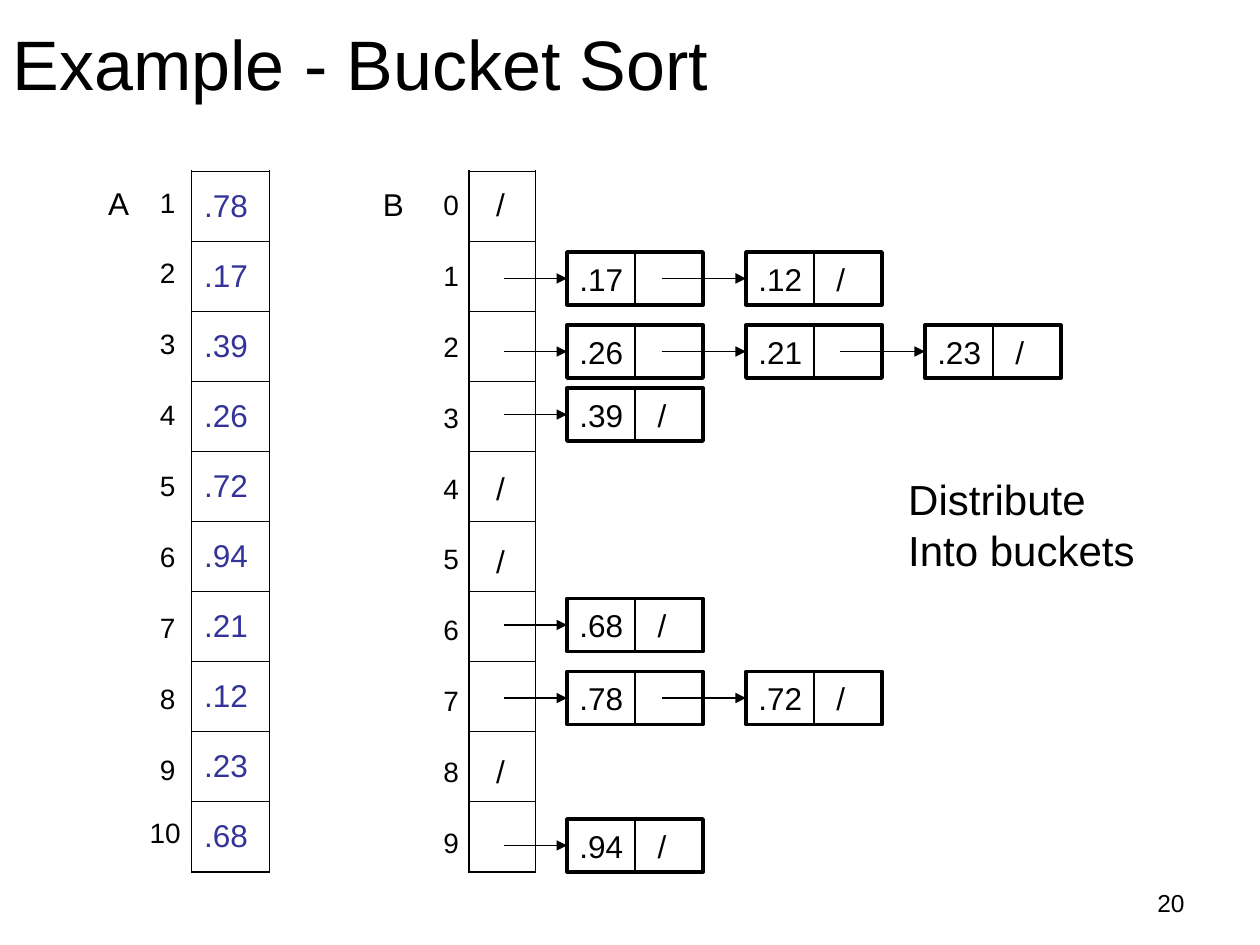
from lxml import etree
from pptx import Presentation
from pptx.dml.color import RGBColor
from pptx.enum.shapes import MSO_CONNECTOR, MSO_SHAPE
from pptx.enum.text import MSO_ANCHOR, PP_ALIGN
from pptx.oxml.ns import qn
from pptx.util import Inches, Pt

STRAIGHT, RECTANGLE = MSO_CONNECTOR.STRAIGHT, MSO_SHAPE.RECTANGLE
MIDDLE, LEFT, RIGHT = MSO_ANCHOR.MIDDLE, PP_ALIGN.LEFT, PP_ALIGN.RIGHT
BLACK, BLUE = "000000", "333399"
color = RGBColor.from_string

# Grid, in inches
ROWS, TABLE_TOP, TABLE_HEIGHT = 10, 1.36, 5.56
ROW_HEIGHT = TABLE_HEIGHT / ROWS
INDEX_PITCH = 4.5 / 8
NODE_LEFT, NODE_PITCH, NODE_WIDTH, NODE_HEIGHT = 4.5, 1.42, 1.08, 0.42
SLASH_TAB = 0.62

prs = Presentation()
prs.slide_width, prs.slide_height = Inches(10), Inches(7.5)
slide = prs.slides.add_slide(prs.slide_layouts[5])
shapes = slide.shapes


def write(frame, text, size, align=LEFT, hue=BLACK):
    frame.text = text
    for paragraph in frame.paragraphs:
        paragraph.alignment = align
        for run in paragraph.runs:
            run.font.name, run.font.size = "Arial", Pt(size)
            run.font.color.rgb = color(hue)


def add_line(x1, y1, x2, y2, arrow=False):
    line = shapes.add_connector(STRAIGHT, *map(Inches, (x1, y1, x2, y2)))
    line.line.color.rgb = color(BLACK)
    line.line.width = Pt(0.75)
    properties = line._element.spPr
    if arrow:
        etree.SubElement(properties.find(qn("a:ln")), qn("a:tailEnd"), type="triangle")
    etree.SubElement(properties, qn("a:effectLst"))


# Title
title = shapes.title
title.left, title.top, title.width, title.height = 0, 0, Inches(9), Inches(0.99)
write(title.text_frame, "Example - Bucket Sort", 40)
title.text_frame.vertical_anchor = MIDDLE

# Input array A and bucket array B
input_values = [".78", ".17", ".39", ".26", ".72", ".94", ".21", ".12", ".23", ".68"]
for left, width, values in ((1.52, 0.62, input_values), (3.72, 0.53, [""] * ROWS)):
    array = shapes.add_table(ROWS, 1, Inches(left), Inches(TABLE_TOP),
                             Inches(width), Inches(TABLE_HEIGHT)).table
    array.first_row = array.horz_banding = False
    for row, value in enumerate(values):
        array.rows[row].height = Inches(ROW_HEIGHT)
        cell = array.cell(row, 0)
        write(cell.text_frame, value, 18, hue=BLUE)
        cell.text_frame.paragraphs[0].space_before = Pt(4.5)
        cell.vertical_anchor = MIDDLE
        borders = {"L": 1.08, "R": 1.08,
                   "T": 1.08 if row == 0 else 0.45,
                   "B": 1.08 if row == ROWS - 1 else 0.45}
        cell_properties = cell._tc.get_or_add_tcPr()
        for side, points in borders.items():
            border = etree.SubElement(cell_properties, qn(f"a:ln{side}"), w=str(Pt(points)))
            fill = etree.SubElement(border, qn("a:solidFill"))
            etree.SubElement(fill, qn("a:srgbClr"), val=BLACK)
        cell.fill.background()

# Labels: left, top, width, height, text, size, alignment
labels = [(3.42, 1.44 + i * INDEX_PITCH, 0.32, 0.37, str(i), 16, LEFT) for i in range(ROWS)]
labels += [(1.17, 1.42 + i * INDEX_PITCH, 0.32, 0.37, str(i + 1), 16, LEFT)
           for i in range(ROWS - 1)]
labels += [(3.84, top, 0.27, 0.4, "/", 18, LEFT) for top in (1.42, 3.67, 4.25, 5.92)]
labels += [
    (1.09, 6.42, 0.44, 0.37, "10", 16, LEFT),
    (0.76, 1.41, 0.36, 0.4, "A", 18, LEFT),
    (2.94, 1.42, 0.36, 0.4, "B", 18, LEFT),
    (7.11, 3.71, 1.99, 0.9, "Distribute\nInto buckets", 24, LEFT),
    (7.17, 7, 2.33, 0.35, "20", 14, RIGHT),
]
for *box, text, size, align in labels:
    label = shapes.add_textbox(*map(Inches, box))
    label.text_frame.word_wrap = True
    if align == LEFT:
        # Spare room on the right keeps each line whole
        label.text_frame.margin_right = 0
    write(label.text_frame, text, size, align)

# Linked lists hanging off the buckets, by top edge
buckets = {
    2: [".17", ".12"],
    2.58: [".26", ".21", ".23"],
    3.08: [".39"],
    4.75: [".68"],
    5.33: [".78", ".72"],
    6.5: [".94"],
}
for top, chain in buckets.items():
    for position, value in enumerate(chain):
        left = NODE_LEFT + position * NODE_PITCH
        middle, divider = top + NODE_HEIGHT / 2, left + NODE_WIDTH / 2
        node = shapes.add_shape(RECTANGLE, Inches(left), Inches(top),
                                Inches(NODE_WIDTH), Inches(NODE_HEIGHT))
        node.shadow.inherit = False
        node.fill.background()
        node.line.color.rgb = color(BLACK)
        node.line.width = Pt(2)
        is_last = position == len(chain) - 1
        write(node.text_frame, value + "\t/" if is_last else value, 18)
        node.text_frame.vertical_anchor = MIDDLE
        if is_last:
            paragraph_properties = node.text_frame.paragraphs[0]._p.get_or_add_pPr()
            tabs = etree.SubElement(paragraph_properties, qn("a:tabLst"))
            etree.SubElement(tabs, qn("a:tab"), pos=str(Inches(SLASH_TAB)), algn="l")
        add_line(divider, top, divider, top + NODE_HEIGHT)
        add_line(left - (0.67 if position else 0.5), middle, left, middle, arrow=True)

prs.save("out.pptx")
